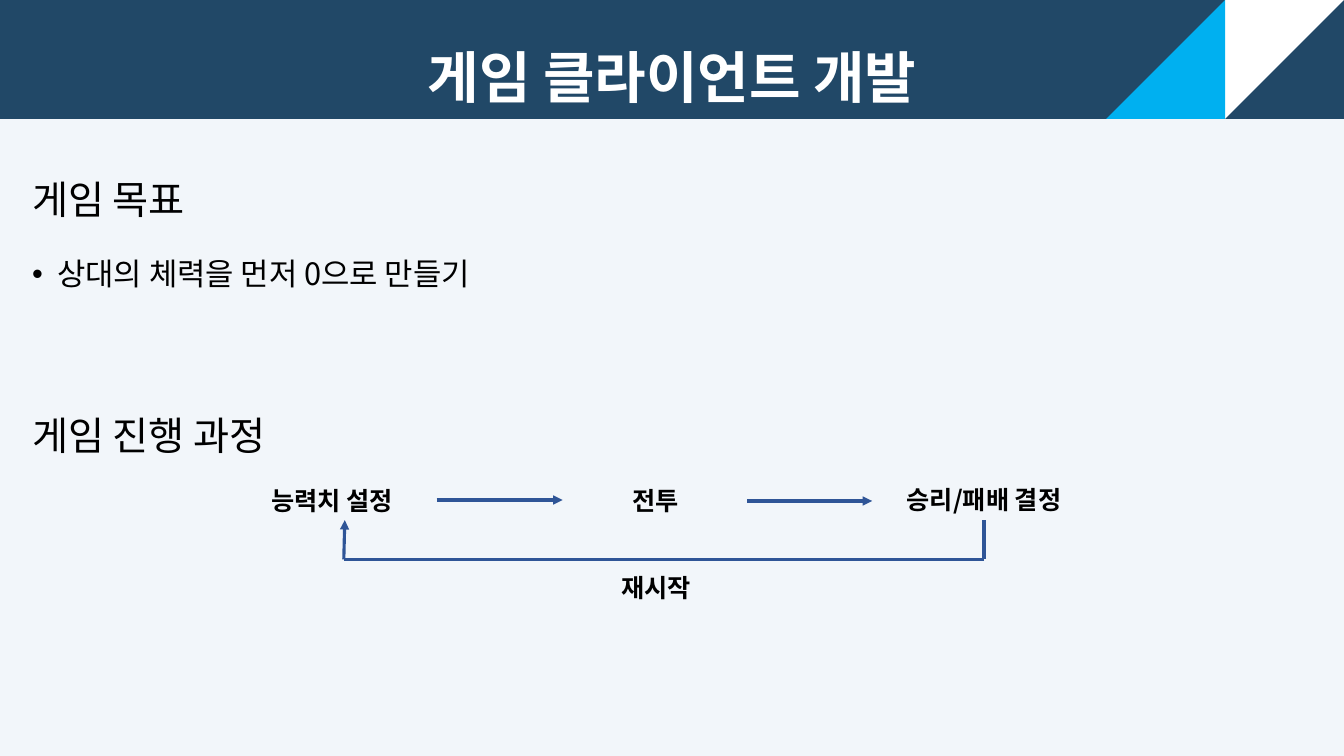
"""Build the game client development slide with its goal and game flow."""
from lxml import etree
from pptx import Presentation
from pptx.dml.color import RGBColor
from pptx.enum.shapes import MSO_CONNECTOR, MSO_SHAPE
from pptx.enum.text import MSO_ANCHOR, PP_ALIGN
from pptx.oxml.ns import qn
from pptx.util import Inches, Pt

COLORS = {"background": "F2F6FA", "banner": "214867", "white": "FFFFFF",
          "accent": "00B0F0", "text": "000000", "arrow": "2F5597"}
FONT = "Noto Sans CJK KR"


def add_run(paragraph, text, size, color="text", bold=False):
    run = paragraph.add_run()
    run.text = text
    run.font.size = Pt(size)
    run.font.bold = bold
    run.font.name = FONT
    run.font.color.rgb = RGBColor.from_string(COLORS[color])
    etree.SubElement(run.font._element, qn("a:ea"), typeface=FONT)


def add_block(preset, left, width, color, rotation=0):
    block = slide.shapes.add_shape(preset, Inches(left), 0, Inches(width), Inches(1.18))
    block.rotation = rotation
    block.shadow.inherit = False
    block.fill.solid()
    block.fill.fore_color.rgb = RGBColor.from_string(COLORS[color])
    block.line.fill.background()
    return block


prs = Presentation()
prs.slide_width, prs.slide_height = Inches(13.33), Inches(7.5)
slide = prs.slides.add_slide(prs.slide_layouts[6])
slide.background.fill.solid()
slide.background.fill.fore_color.rgb = RGBColor.from_string(COLORS["background"])

banner = add_block(MSO_SHAPE.RECTANGLE, 0, 13.33, "banner")
banner.text_frame.vertical_anchor = MSO_ANCHOR.MIDDLE
title = banner.text_frame.paragraphs[0]
title.alignment = PP_ALIGN.CENTER
title.line_spacing = 1.5
add_run(title, "게임 클라이언트 개발", 40, "white", True)
add_block(MSO_SHAPE.RIGHT_TRIANGLE, 12.15, 1.18, "white", 90)
add_block(MSO_SHAPE.RIGHT_TRIANGLE, 10.97, 1.18, "accent", 270)

body = slide.shapes.add_textbox(Inches(0.22), Inches(1.46), Inches(12.85), Inches(5.82)).text_frame
body.word_wrap = True
for index, (text, size, space_before, bulleted) in enumerate([
        ("게임 목표", 28, 10, False),
        ("상대의 체력을 먼저 0으로 만들기", 22, 10, True),
        ("게임 진행 과정", 28, 68, False)]):
    paragraph = body.add_paragraph() if index else body.paragraphs[0]
    paragraph.line_spacing = 1.5
    paragraph.space_before = Pt(space_before)
    add_run(paragraph, text, size)
    if bulleted:
        properties = paragraph._p.get_or_add_pPr()
        properties.set("marL", str(Inches(0.25)))
        properties.set("indent", str(-Inches(0.25)))
        etree.SubElement(properties, qn("a:buFont"), typeface="Arial")
        etree.SubElement(properties, qn("a:buChar"), char="•")

for text, left, top, width, alignment in [
        ("능력치 설정", 2.59, 4.77, 1.65, PP_ALIGN.LEFT),
        ("전투", 5.68, 4.77, 1.65, PP_ALIGN.CENTER),
        ("승리/패배 결정", 8.77, 4.76, 1.98, PP_ALIGN.CENTER),
        ("재시작", 5.68, 5.63, 1.65, PP_ALIGN.CENTER)]:
    step = slide.shapes.add_textbox(Inches(left), Inches(top), Inches(width), Inches(0.4)).text_frame
    step.word_wrap = True
    step.paragraphs[0].alignment = alignment
    add_run(step.paragraphs[0], text, 18, bold=True)

for x1, y1, x2, y2, has_arrowhead in [
        (4.33, 4.96, 5.58, 4.96, True),
        (7.41, 4.97, 8.65, 4.97, True),
        (9.76, 5.16, 9.76, 5.55, False),
        (9.76, 5.55, 3.41, 5.55, False),
        (3.41, 5.55, 3.42, 5.16, True)]:
    link = slide.shapes.add_connector(
        MSO_CONNECTOR.STRAIGHT, Inches(x1), Inches(y1), Inches(x2), Inches(y2))
    link.line.color.rgb = RGBColor.from_string(COLORS["arrow"])
    link.line.width = Pt(2.25)
    if has_arrowhead:
        etree.SubElement(link.line._get_or_add_ln(), qn("a:tailEnd"), type="triangle")
    etree.SubElement(link._element.spPr, qn("a:effectLst"))

prs.save("out.pptx")
